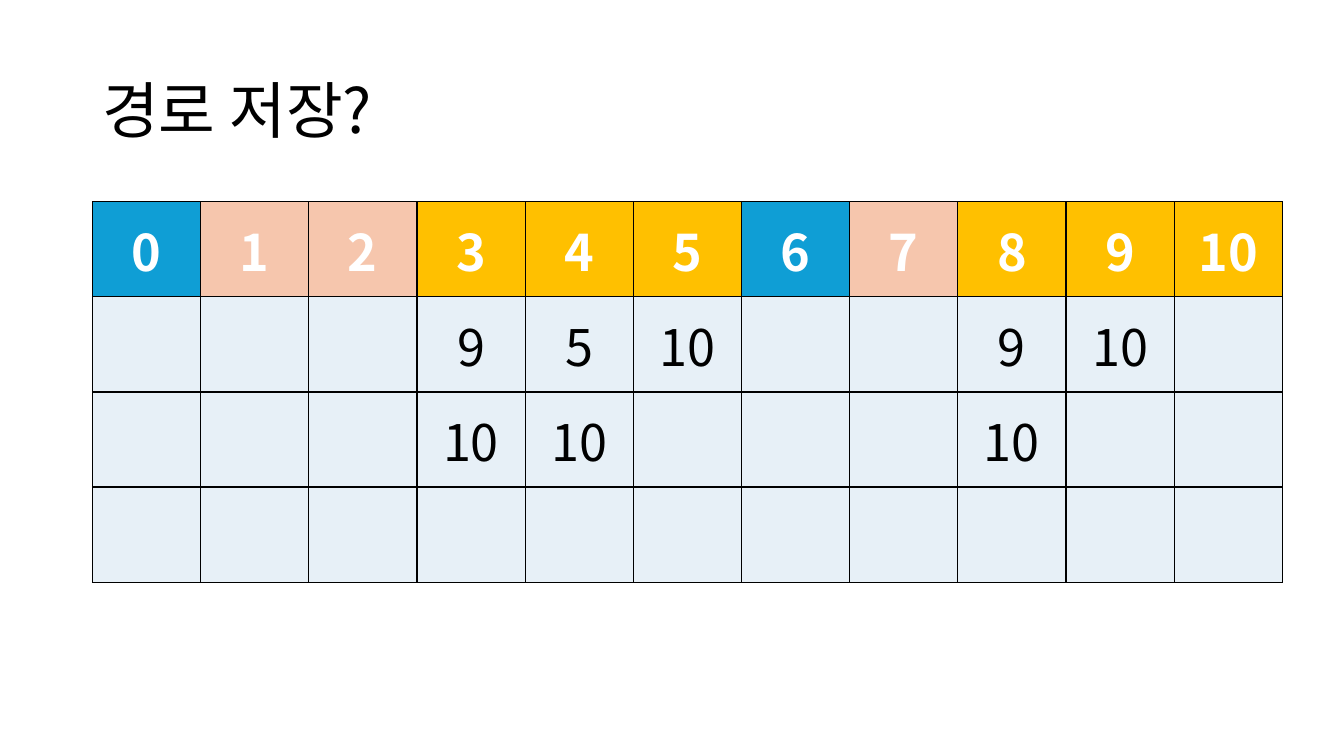
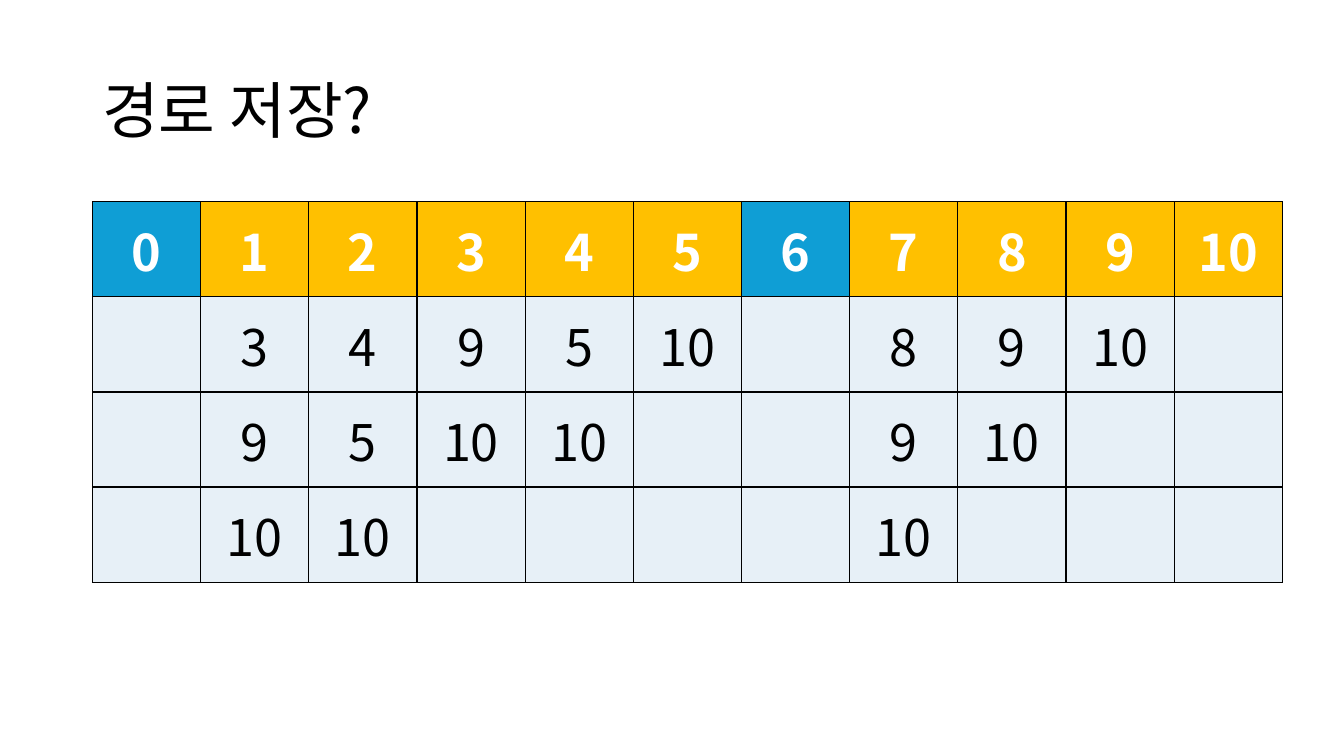
"""Build two slides that show the stored paths of each node as a table."""
from lxml.etree import SubElement
from pptx import Presentation
from pptx.dml.color import RGBColor
from pptx.enum.text import MSO_ANCHOR as Anchor, PP_ALIGN as Align
from pptx.oxml.ns import qn
from pptx.util import Pt

TITLE = "경로 저장?"
NODES = range(11)
PATH_ROWS = 3
ROOTS = {0, 6}
PARTIAL_PATHS = {3: [9, 10], 4: [5, 10], 5: [10], 8: [9, 10], 9: [10], 10: []}
FULL_PATHS = PARTIAL_PATHS | {1: [3, 9, 10], 2: [4, 5, 10], 7: [8, 9, 10]}
PAGES = [PARTIAL_PATHS, FULL_PATHS]

FONT = "Noto Sans CJK KR"
BLACK = RGBColor(0x00, 0x00, 0x00)
WHITE = RGBColor(0xFF, 0xFF, 0xFF)
BLUE = RGBColor(0x0F, 0x9E, 0xD5)
PEACH = RGBColor(0xF6, 0xC6, 0xAD)
GOLD = RGBColor(0xFF, 0xC0, 0x00)
PALE = RGBColor(0xE7, 0xF0, 0xF7)

TITLE_STYLE = {"size": Pt(44), "bold": False}
HEAD_STYLE = {"size": Pt(36), "bold": True}
BODY_STYLE = {"size": Pt(36), "bold": False}

LEFT = Pt(66)
TITLE_TOP, TITLE_WIDTH, TITLE_HEIGHT = Pt(28.75), Pt(828), Pt(104.4)
TABLE_TOP, COLUMN_WIDTH, ROW_HEIGHT = Pt(144), Pt(77.3), Pt(68)
BORDER_WIDTH = Pt(1)


def write(para, text, style, color):
    """Add one styled run to a paragraph."""
    span = para.add_run()
    span.text = text
    for name, value in (style | {"name": FONT}).items():
        setattr(span.font, name, value)
    span.font.color.rgb = color
    SubElement(span.font._element, qn("a:ea"), typeface=FONT)


def add_title(page):
    """Place the shared title."""
    box = page.shapes.add_textbox(LEFT, TITLE_TOP, TITLE_WIDTH, TITLE_HEIGHT)
    frame = box.text_frame
    frame.word_wrap = True
    frame.vertical_anchor = Anchor.MIDDLE
    para = frame.paragraphs[0]
    para.line_spacing = 0.9
    write(para, TITLE, TITLE_STYLE, BLACK)


def add_borders(cell):
    """Draw a solid line on all four sides of a cell."""
    properties = cell._tc.get_or_add_tcPr()
    for place, side in enumerate(("lnL", "lnR", "lnT", "lnB")):
        line = SubElement(properties, qn(f"a:{side}"), w=str(BORDER_WIDTH))
        fill = SubElement(line, qn("a:solidFill"))
        SubElement(fill, qn("a:srgbClr"), val=str(BLACK))
        properties.insert(place, line)


def fill_cell(cell, text, style, color, fill):
    """Set the text, fill and borders of a cell."""
    cell.fill.solid()
    cell.fill.fore_color.rgb = fill
    cell.vertical_anchor = Anchor.MIDDLE
    add_borders(cell)
    para = cell.text_frame.paragraphs[0]
    para.alignment = Align.CENTER
    if text:
        write(para, text, style, color)


def head_color(node, paths):
    """Choose the header colour: root, stored or not stored yet."""
    if node in ROOTS:
        return BLUE
    return GOLD if node in paths else PEACH


def add_path_table(page, paths):
    """Place the table with one column per node."""
    rows, columns = PATH_ROWS + 1, len(NODES)
    table = page.shapes.add_table(
        rows, columns, LEFT, TABLE_TOP, COLUMN_WIDTH * columns, ROW_HEIGHT * rows
    ).table
    for column in table.columns:
        column.width = COLUMN_WIDTH
    for row in table.rows:
        row.height = ROW_HEIGHT
    for node in NODES:
        fill_cell(table.cell(0, node), str(node), HEAD_STYLE, WHITE, head_color(node, paths))
        steps = [str(step) for step in paths.get(node, [])]
        steps += [""] * (PATH_ROWS - len(steps))
        for row, step in enumerate(steps, 1):
            fill_cell(table.cell(row, node), step, BODY_STYLE, BLACK, PALE)


def main():
    """Build and save the deck."""
    deck = Presentation()
    deck.slide_width, deck.slide_height = Pt(960), Pt(540)
    for paths in PAGES:
        page = deck.slides.add_slide(deck.slide_layouts[6])
        add_title(page)
        add_path_table(page, paths)
    deck.save("out.pptx")


if __name__ == "__main__":
    main()
